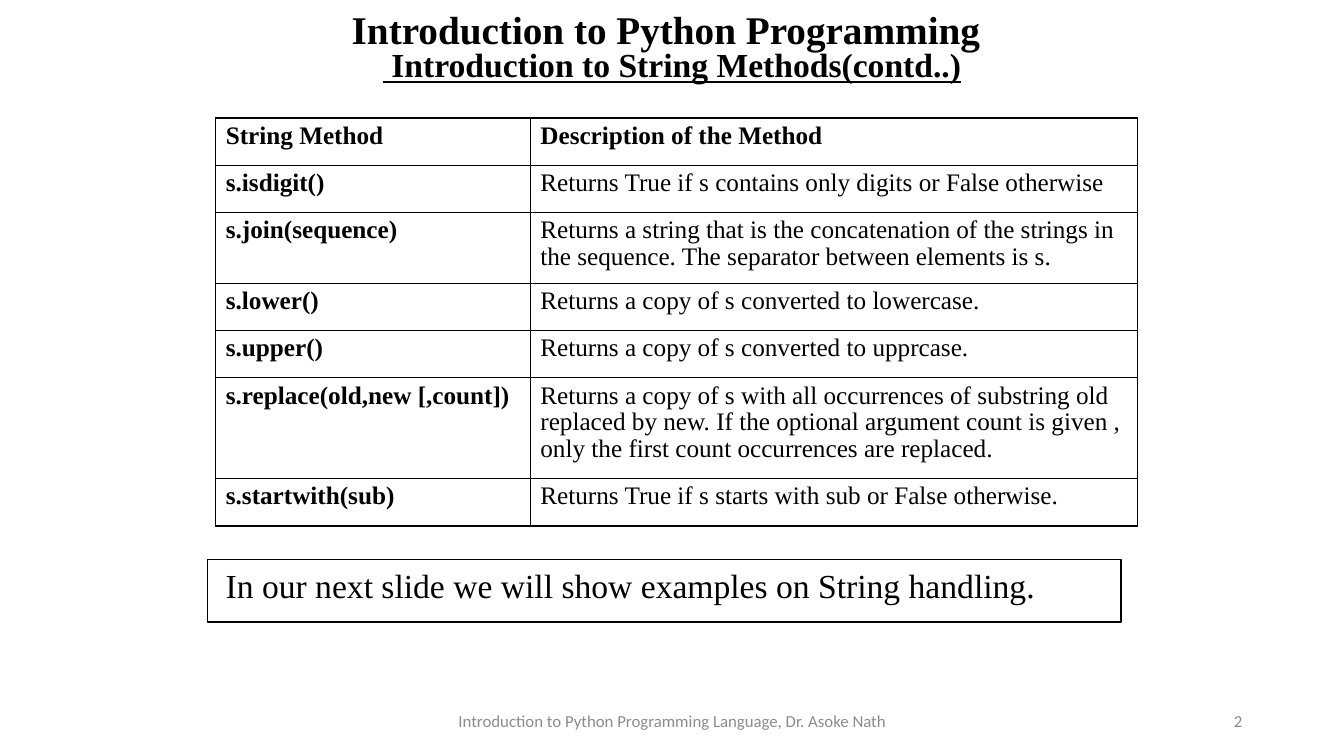
from dataclasses import dataclass

from lxml import etree
from pptx import Presentation
from pptx.dml.color import RGBColor
from pptx.enum.shapes import MSO_SHAPE
from pptx.enum.text import MSO_ANCHOR, PP_ALIGN
from pptx.oxml.ns import qn
from pptx.util import Inches, Pt

RECT = MSO_SHAPE.RECTANGLE
TOP, MIDDLE = MSO_ANCHOR.TOP, MSO_ANCHOR.MIDDLE
LEFT, CENTER, RIGHT = PP_ALIGN.LEFT, PP_ALIGN.CENTER, PP_ALIGN.RIGHT


@dataclass(frozen=True)
class Theme:
    serif: str = "Times New Roman"
    sans: str = "Calibri"
    black: str = "000000"
    white: str = "FFFFFF"
    footer_grey: str = "8C8C8C"
    number_grey: str = "898989"
    title: int = 28
    heading: int = 24
    body: int = 18
    footer: int = 12
    line: int = 1


THEME = Theme()
COLUMN_WIDTHS = [3.12, 6.02]
ROW_HEIGHTS = [0.47, 0.47, 0.7, 0.47, 0.47, 1, 0.47]
METHODS = [
    ("String Method", "Description of the Method"),
    ("s.isdigit()", "Returns True if s contains only digits or False otherwise"),
    ("s.join(sequence)",
     "Returns a string that is the concatenation of the strings in the sequence. "
     "The separator between elements is s."),
    ("s.lower()", "Returns a copy of s converted to lowercase."),
    ("s.upper()", "Returns a copy of s converted to upprcase."),
    ("s.replace(old,new [,count])",
     "Returns a copy of s with all occurrences of substring old replaced by new. "
     "If the optional argument count is given , only the first count occurrences "
     "are replaced."),
    ("s.startwith(sub)", "Returns True if s starts with sub or False otherwise."),
]


def write(tf, text, size=THEME.body, font=THEME.serif, color=THEME.black,
          bold=False, underline=False, align=LEFT, spacing=None):
    p = tf.paragraphs[0]
    p.alignment = align
    p.line_spacing = spacing
    r = p.add_run()
    r.text = text
    r.font.size = Pt(size)
    r.font.name = font
    r.font.color.rgb = RGBColor.from_string(color)
    r.font.bold = bold
    r.font.underline = underline


def add_text(slide, box, text, anchor=TOP, **fmt):
    tf = slide.shapes.add_textbox(*map(Inches, box)).text_frame
    tf.word_wrap = True
    tf.vertical_anchor = anchor
    write(tf, text, **fmt)


def add_frame(slide, box):
    sp = slide.shapes.add_shape(RECT, *map(Inches, box))
    sp.shadow.inherit = False
    sp.fill.solid()
    sp.fill.fore_color.rgb = RGBColor.from_string(THEME.white)
    sp.line.color.rgb = RGBColor.from_string(THEME.black)
    sp.line.width = Pt(THEME.line)


def set_borders(cell):
    tc_pr = cell._tc.get_or_add_tcPr()
    for i, side in enumerate(("lnL", "lnR", "lnT", "lnB")):
        ln = etree.Element(qn("a:" + side), w=str(Pt(THEME.line)))
        fill = etree.SubElement(ln, qn("a:solidFill"))
        etree.SubElement(fill, qn("a:srgbClr"), val=THEME.black)
        tc_pr.insert(i, ln)


def add_methods_table(slide, left, top):
    size = (sum(COLUMN_WIDTHS), sum(ROW_HEIGHTS))
    table = slide.shapes.add_table(len(METHODS), len(COLUMN_WIDTHS),
                                   *map(Inches, (left, top, *size))).table
    table.first_row = table.horz_banding = False
    for column, width in zip(table.columns, COLUMN_WIDTHS):
        column.width = Inches(width)
    for row, height, texts in zip(table.rows, ROW_HEIGHTS, METHODS):
        row.height = Inches(height)
        for i, (cell, text) in enumerate(zip(row.cells, texts)):
            cell.fill.background()
            set_borders(cell)
            # Header row and method names are bold
            write(cell.text_frame, text, spacing=0.95,
                  bold=i == 0 or texts is METHODS[0])


def main():
    prs = Presentation()
    prs.slide_width, prs.slide_height = Inches(13.33), Inches(7.5)
    slide = prs.slides.add_slide(prs.slide_layouts[6])

    # Titles
    add_text(slide, (3.39, 0, 6.48, 0.57), "Introduction to Python Programming",
             size=THEME.title, bold=True)
    add_text(slide, (3.7, 0.39, 6.09, 0.51), " Introduction to String Methods(contd..)",
             size=THEME.heading, bold=True, underline=True)

    # String methods
    add_methods_table(slide, 2.14, 1.17)

    # Framed closing remark
    add_frame(slide, (2.06, 5.55, 9.06, 0.62))
    add_text(slide, (2.14, 5.55, 9.14, 0.51),
             "In our next slide we will show examples on String handling.",
             size=THEME.heading)

    # Footer and slide number
    add_text(slide, (4.42, 6.95, 4.5, 0.4),
             "Introduction to Python Programming Language, Dr. Asoke Nath",
             anchor=MIDDLE, align=CENTER, size=THEME.footer, font=THEME.sans,
             color=THEME.footer_grey)
    add_text(slide, (9.42, 6.95, 3, 0.4), "2", anchor=MIDDLE, align=RIGHT,
             size=THEME.footer, font=THEME.sans, color=THEME.number_grey)

    prs.save("out.pptx")


if __name__ == "__main__":
    main()
